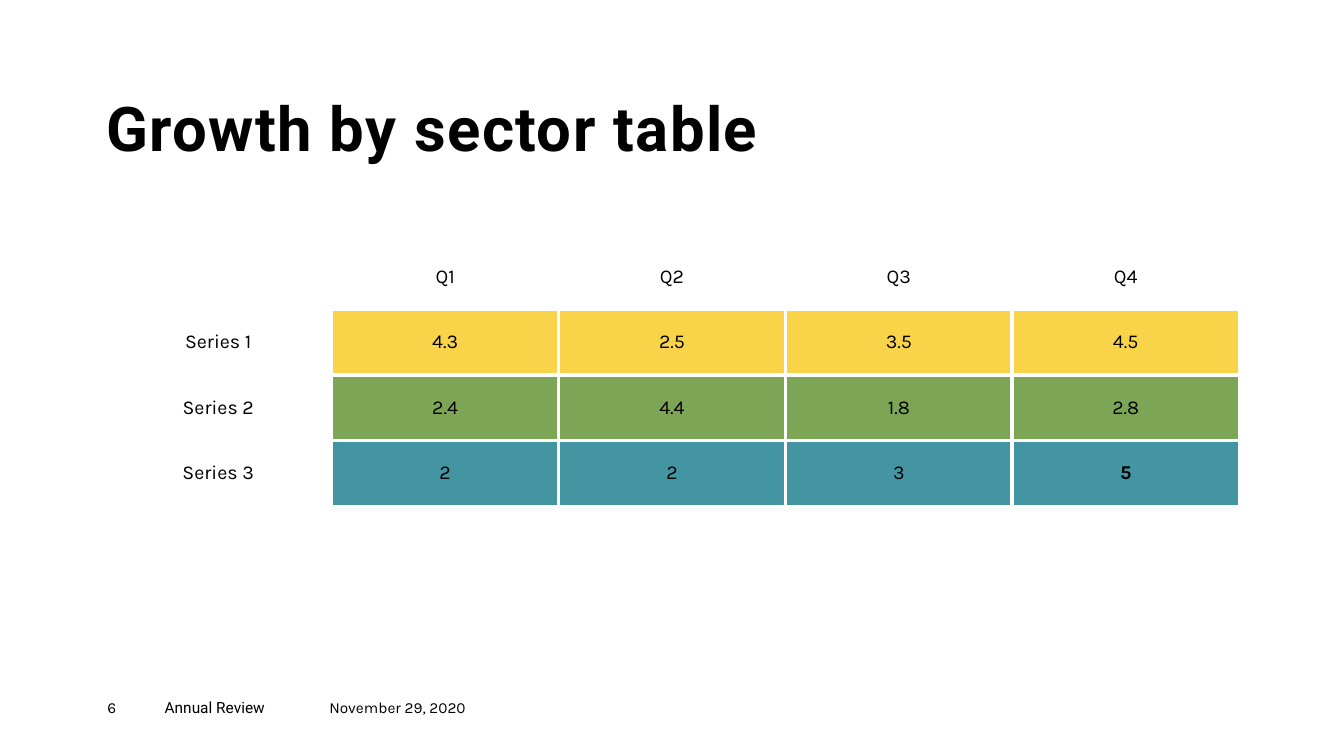
import dataclasses
import typing

import lxml.etree
import pptx
import pptx.dml.color
import pptx.enum.text
import pptx.oxml.ns
import pptx.slide
import pptx.table
import pptx.text.text
import pptx.util

BLACK = pptx.dml.color.RGBColor(0x00, 0x00, 0x00)
WHITE = pptx.dml.color.RGBColor(0xFF, 0xFF, 0xFF)
YELLOW = pptx.dml.color.RGBColor(0xF9, 0xD4, 0x48)
GREEN = pptx.dml.color.RGBColor(0x7C, 0xA6, 0x55)
TEAL = pptx.dml.color.RGBColor(0x44, 0x95, 0xA2)

WIDTH, HEIGHT = pptx.util.Inches(13.33), pptx.util.Inches(7.5)
COL, ROW = pptx.util.Inches(2.25), pptx.util.Inches(0.65)
LEFT, TOP = pptx.util.Inches(1.04), pptx.util.Inches(2.42)
THIN, EDGE, INNER = 1, 2.25, 3

Values = dict[str, typing.Any]
BODY = {"name": "Karla", "size": pptx.util.Pt(14), "bold": False}
HEAD = {"name": "Roboto", "size": pptx.util.Pt(44), "bold": True}
SMALL = {"size": pptx.util.Pt(11), "bold": False}
FRAME = {
    "margin_left": 0, "margin_top": 0, "margin_right": 0, "margin_bottom": 0,
    "word_wrap": True, "auto_size": pptx.enum.text.MSO_AUTO_SIZE.NONE,
}


@dataclasses.dataclass(frozen=True)
class Series:
    name: str
    color: pptx.dml.color.RGBColor
    values: tuple[str, ...]


@dataclasses.dataclass(frozen=True)
class Note:
    """A footer text; left and width are shares of the slide's width."""
    text: str
    font: str
    left: float
    width: float


QUARTERS = ("Q1", "Q2", "Q3", "Q4")
SERIES = (
    Series("Series 1", YELLOW, ("4.3", "2.5", "3.5", "4.5")),
    Series("Series 2", GREEN, ("2.4", "4.4", "1.8", "2.8")),
    Series("Series 3", TEAL, ("2", "2", "3", "5")),
)
STRONG = (len(SERIES), len(QUARTERS))
NOTES = (
    Note("6", "Karla", 0.08, 0.04),
    Note("Annual Review", "Roboto", 0.1225, 0.12),
    Note("November 29, 2020", "Karla", 0.245, 0.12),
)


def apply(target: typing.Any, values: Values) -> None:
    for name, value in values.items():
        setattr(target, name, value)


def write(frame: pptx.text.text.TextFrame, text: str, font: Values) -> None:
    frame.text = text
    for run in frame.paragraphs[0].runs:
        apply(run.font, font)
        run.font.color.rgb = BLACK


def add_title(slide: pptx.slide.Slide) -> None:
    title = slide.shapes.title
    apply(title, {
        "left": int(WIDTH * 0.079), "top": int(HEIGHT * 0.128),
        "width": int(WIDTH * 0.62), "height": int(HEIGHT * 0.09),
    })
    frame = title.text_frame
    apply(frame, FRAME | {"vertical_anchor": pptx.enum.text.MSO_ANCHOR.BOTTOM})
    write(frame, "Growth by sector table", HEAD)
    line = frame.paragraphs[0]
    apply(line, {"alignment": pptx.enum.text.PP_ALIGN.LEFT, "line_spacing": 0.9})
    line.runs[0].font._element.set("spc", "100")


def border(cell: pptx.table._Cell, widths: dict[str, float]) -> None:
    """Draw white cell borders; widths are in points, keyed by side."""
    props = cell._tc.get_or_add_tcPr()
    for side in "LRTB":
        line = lxml.etree.SubElement(
            props, pptx.oxml.ns.qn(f"a:ln{side}"),
            w=str(pptx.util.Pt(widths[side])))
        fill = lxml.etree.SubElement(line, pptx.oxml.ns.qn("a:solidFill"))
        lxml.etree.SubElement(fill, pptx.oxml.ns.qn("a:srgbClr"), val=str(WHITE))


def find_widths(row: int, col: int) -> dict[str, float]:
    """Give header, label and value cells their border widths."""
    if row == 0:
        return {"L": THIN, "R": THIN, "T": THIN, "B": EDGE}
    if col == 0:
        return dict.fromkeys("LRTB", EDGE)
    return {
        "L": EDGE if col == 1 else INNER,
        "R": EDGE if col == len(QUARTERS) else INNER,
        "T": EDGE if row == 1 else INNER,
        "B": EDGE if row == len(SERIES) else INNER,
    }


def add_grid(slide: pptx.slide.Slide) -> None:
    texts = [("", *QUARTERS)] + [(item.name, *item.values) for item in SERIES]
    rows, cols = len(texts), len(texts[0])
    table = slide.shapes.add_table(
        rows, cols, LEFT, TOP, COL * cols, ROW * rows).table
    apply(table, {"first_row": False, "horz_banding": False})
    for row, line in enumerate(texts):
        for col, text in enumerate(line):
            cell = table.cell(row, col)
            border(cell, find_widths(row, col))
            if row and col:
                cell.fill.solid()
                cell.fill.fore_color.rgb = SERIES[row - 1].color
            else:
                cell.fill.background()
            cell.vertical_anchor = pptx.enum.text.MSO_ANCHOR.MIDDLE
            write(cell.text_frame, text, BODY | {"bold": (row, col) == STRONG})
            cell.text_frame.paragraphs[0].alignment = pptx.enum.text.PP_ALIGN.CENTER


def add_note(slide: pptx.slide.Slide, note: Note) -> None:
    box = slide.shapes.add_textbox(
        int(WIDTH * note.left), int(HEIGHT * 0.923),
        int(WIDTH * note.width), int(HEIGHT * 0.036))
    apply(box.text_frame, FRAME)
    write(box.text_frame, note.text, SMALL | {"name": note.font})


def main() -> None:
    deck = pptx.Presentation()
    apply(deck, {"slide_width": WIDTH, "slide_height": HEIGHT})
    slide = deck.slides.add_slide(deck.slide_layouts.get_by_name("Title Only"))
    add_title(slide)
    add_grid(slide)
    for note in NOTES:
        add_note(slide, note)
    deck.save("out.pptx")


if __name__ == "__main__":
    main()
